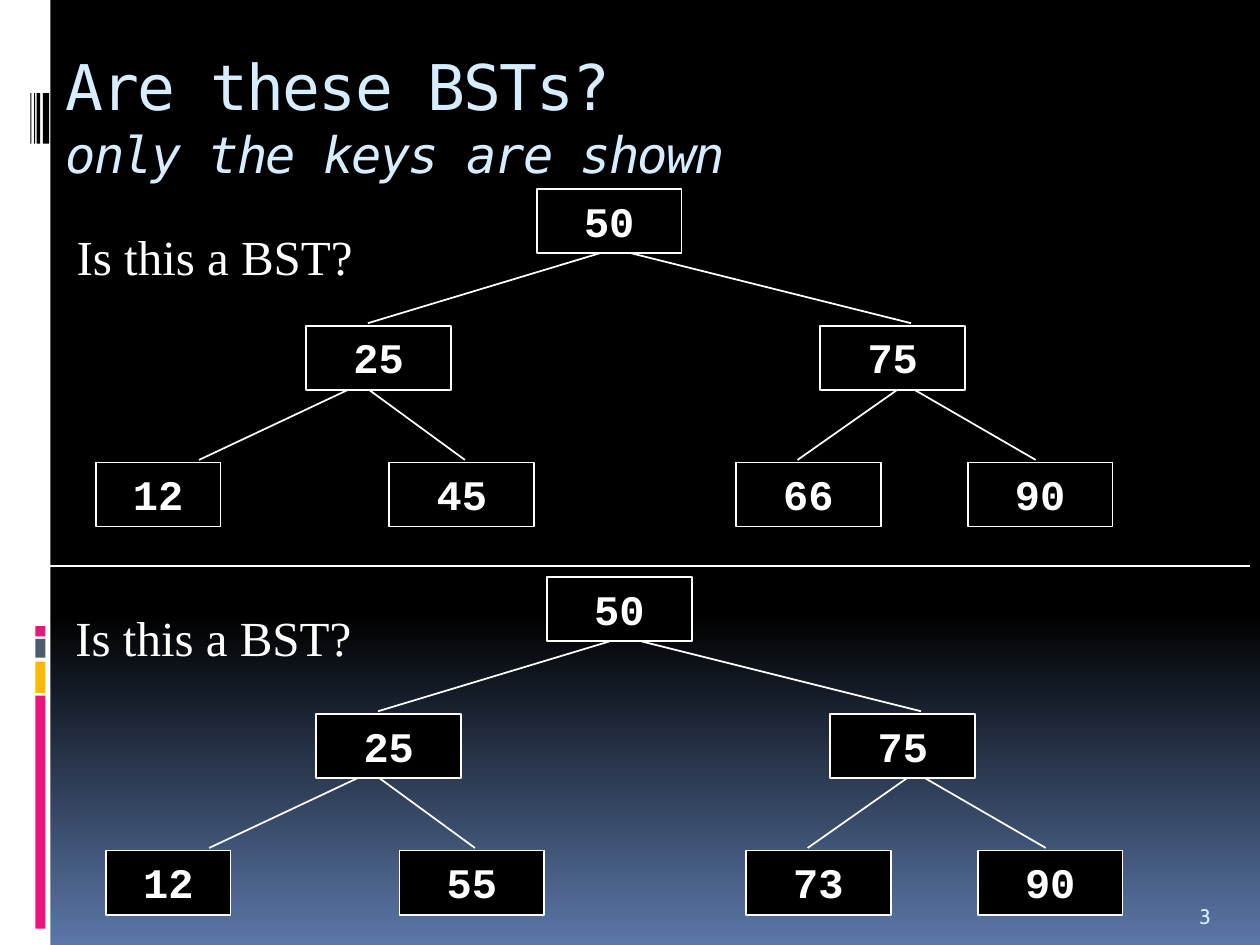
import pptx
import pptx.util
import pptx.dml.color
import pptx.enum.shapes
import pptx.enum.text
import pptx.oxml
import pptx.oxml.ns

COLUMNS, ROWS = 100, 75
CELL = pptx.util.Inches(0.1)
COLORS = {
    "white": "FFFFFF", "black": "000000", "pink": "EA157A", "amber": "FEB80A",
    "slate": "4E5B6F", "ice": "D6ECFF", "blue": "5B77A8",
}
TITLE_FONT = {"name": "DejaVu Sans Mono", "size": pptx.util.Pt(36)}
SUBTITLE_FONT = {**TITLE_FONT, "size": pptx.util.Pt(28.8), "italic": True}
KEY_FONT = {"name": "Courier New", "size": pptx.util.Pt(24), "bold": True}
QUESTION_FONT = {"name": "Times New Roman", "size": pptx.util.Pt(28)}
NUMBER_FONT = {"name": "Cabin", "size": pptx.util.Pt(12)}
FRAME = {
    "word_wrap": True,
    "auto_size": pptx.enum.text.MSO_AUTO_SIZE.NONE,
    "vertical_anchor": pptx.enum.text.MSO_ANCHOR.TOP,
}
PARAGRAPH = {
    "alignment": pptx.enum.text.PP_ALIGN.LEFT,
    "space_before": pptx.util.Pt(3),
}
NODE_HEIGHT, LEVEL_STEP, EDGE_GAP = 5.1, 10.85, 0.2
NODES = [
    (35, 0, 11.5), (16.7, 1, 11.5), (57.5, 1, 11.5),
    (0, 2, 9.9), (23.3, 2, 11.5), (50.8, 2, 11.5), (69.2, 2, 11.5),
]
EDGES = [
    (0, 1, 5, 4.9), (0, 2, 7.5, 7.2), (1, 3, 3.3, 8.2),
    (1, 4, 5, 6), (2, 5, 6.1, 4.9), (2, 6, 7.5, 5.4),
]


def rgb(name):
    """Return a named colour."""
    return pptx.dml.color.RGBColor.from_string(COLORS[name])


def cells(*lengths):
    """Convert grid cells to slide lengths."""
    return [round(length * CELL) for length in lengths]


def apply_format(target, values):
    """Set each attribute of a format on the target."""
    for name, value in values.items():
        setattr(target, name, value)


def add_run(paragraph, text, font, color):
    """Add one formatted run of text."""
    run = paragraph.add_run()
    run.text = text
    apply_format(run.font, font)
    run.font.color.rgb = rgb(color)
    return run


def write(shape, text, font, color, frame=None, paragraph_format=None):
    """Write one formatted paragraph into a shape."""
    apply_format(shape.text_frame, {**FRAME, **(frame or {})})
    paragraph = shape.text_frame.paragraphs[0]
    apply_format(paragraph, {**PARAGRAPH, **(paragraph_format or {})})
    return add_run(paragraph, text, font, color)


def add_box(slide, box, fill, line=None):
    """Add a filled rectangle with an optional outline."""
    shape = slide.shapes.add_shape(
        pptx.enum.shapes.MSO_SHAPE.RECTANGLE, *cells(*box))
    shape.shadow.inherit = False
    shape.fill.solid()
    shape.fill.fore_color.rgb = rgb(fill)
    if line:
        shape.line.color.rgb = rgb(line)
        shape.line.width = pptx.util.Pt(1)
    else:
        shape.line.fill.background()
    return shape


def add_line(slide, start, end):
    """Add a thin white line between two grid points."""
    connector = slide.shapes.add_connector(
        pptx.enum.shapes.MSO_CONNECTOR.STRAIGHT, *cells(*start, *end))
    connector.line.color.rgb = rgb("white")
    connector.line.width = pptx.util.Pt(1)
    properties = connector.element.find(pptx.oxml.ns.qn("p:spPr"))
    properties.append(pptx.oxml.parse_xml(
        "<a:effectLst %s/>" % pptx.oxml.ns.nsdecls("a")))


def add_background(slide):
    """Fade the background from black to blue at the bottom."""
    fill = slide.background.fill
    fill.gradient()
    fill.gradient_angle = 270
    for stop, position, color in zip(
            fill.gradient_stops, (0.65, 1), ("black", "blue")):
        stop.position = position
        stop.color.rgb = rgb(color)


def add_sidebar(slide, box):
    """Draw the white side strip with its bars."""
    left, top, width, height = box
    add_box(slide, box, "white")
    for offset, length, color in (
            (49.7, 0.8, "pink"), (50.7, 1.5, "slate"),
            (52.5, 2.5, "amber"), (55.2, 18.5, "pink")):
        add_box(slide, (left + 2.8, top + offset, 0.8, length), color)
    for offset, thickness in ((2.4, 0.1), (2.7, 0.1), (2.9, 0.3), (3.4, 0.5)):
        add_box(slide, (left + offset, top + 7.4, thickness, 4), "black")


def add_title(slide, box):
    """Fill the title placeholder with a heading and an italic line."""
    title = slide.shapes.title
    apply_format(title, dict(zip(("left", "top", "width", "height"), cells(*box))))
    heading = write(title, "Are these BSTs?", TITLE_FONT, "ice")
    paragraph = title.text_frame.paragraphs[0]
    paragraph.add_line_break()
    subtitle = add_run(paragraph, "only the keys are shown", SUBTITLE_FONT, "ice")
    for run in (heading, subtitle):
        run.font._element.set("spc", "-100")


def add_tree(slide, origin, keys):
    """Draw a three-level binary tree from its top left corner."""
    left, top = origin
    places = [(left + column, top + level * LEVEL_STEP, width, NODE_HEIGHT)
              for column, level, width in NODES]
    for parent, child, start, end in EDGES:
        upper, lower = places[parent], places[child]
        add_line(slide, (upper[0] + start, upper[1] + NODE_HEIGHT),
                 (lower[0] + end, lower[1] - EDGE_GAP))
    for place, key in zip(places, keys):
        node = add_box(slide, place, "black", "white")
        write(node, str(key), KEY_FONT, "white",
              paragraph_format={"alignment": pptx.enum.text.PP_ALIGN.CENTER})


def add_text(slide, box, text, font, color, frame=None):
    """Add a text box."""
    shape = slide.shapes.add_textbox(*cells(*box))
    write(shape, text, font, color, frame)


def main():
    """Build the slide and save it."""
    presentation = pptx.Presentation()
    presentation.slide_width, presentation.slide_height = cells(COLUMNS, ROWS)
    slide = presentation.slides.add_slide(presentation.slide_layouts[5])
    add_background(slide)
    add_sidebar(slide, (0, 0, 4, ROWS))
    add_title(slide, (4.2, 3.3, 97.5, 7.6))
    add_text(slide, (94.2, 70.2, 5, 4), "3", NUMBER_FONT, "ice",
             {"vertical_anchor": pptx.enum.text.MSO_ANCHOR.BOTTOM})
    add_tree(slide, (7.6, 15), (50, 25, 75, 12, 45, 66, 90))
    add_tree(slide, (8.4, 45.8), (50, 25, 75, 12, 55, 73, 90))
    add_line(slide, (0.1, 44.9), (99.2, 44.9))
    for left, top in ((5.1, 17.5), (5, 47.7)):
        add_text(slide, (left, top, 23.9, 5.6), "Is this a BST?",
                 QUESTION_FONT, "white", {"word_wrap": False})
    presentation.save("out.pptx")


if __name__ == "__main__":
    main()
